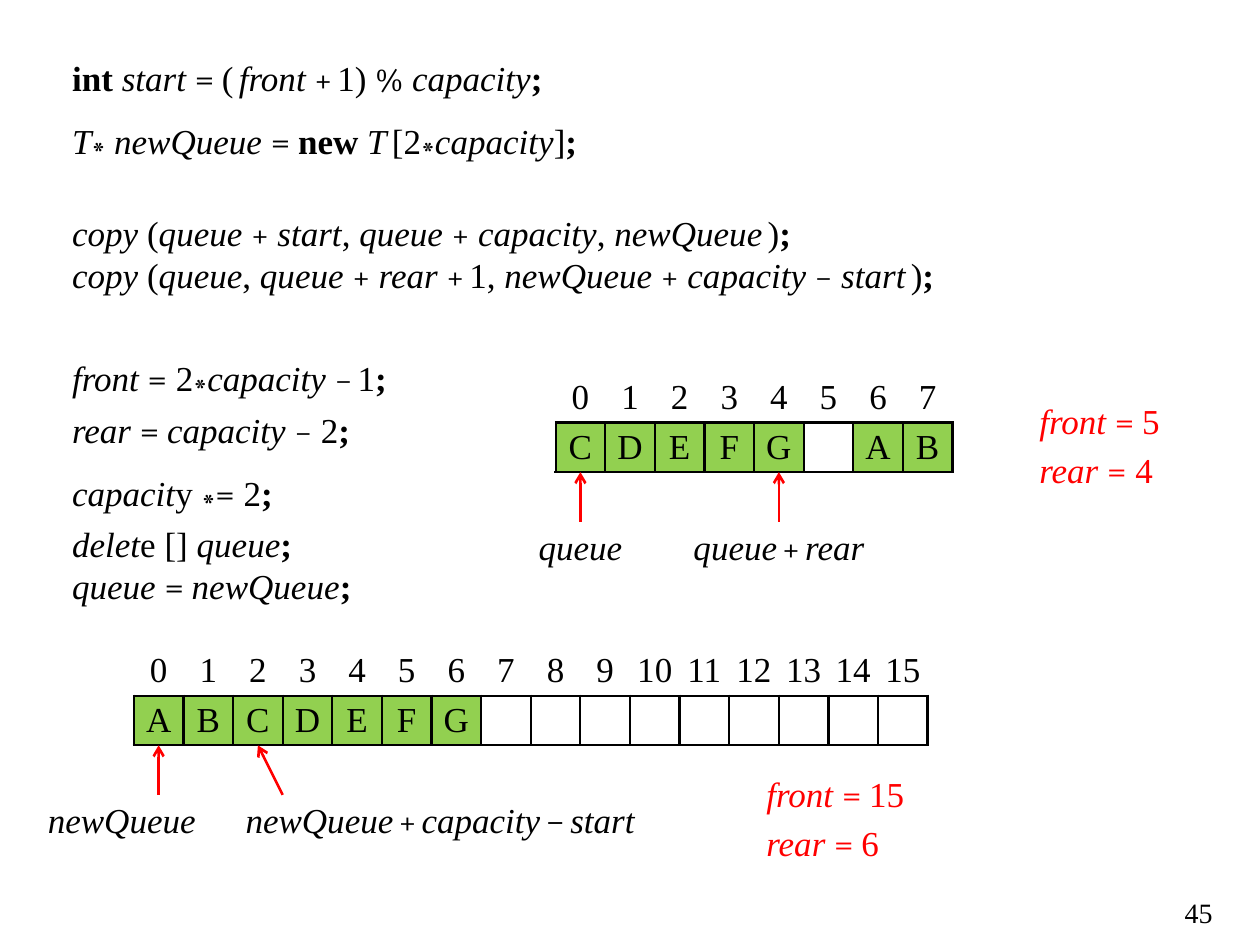
"""Build the slide on doubling the capacity of a circular queue."""
from lxml.etree import SubElement
from pptx import Presentation
from pptx.dml.color import RGBColor
from pptx.enum.shapes import MSO_CONNECTOR
from pptx.enum.text import MSO_ANCHOR, PP_ALIGN
from pptx.oxml.ns import qn
from pptx.util import Pt

COLORS = {"text": "000000", "state": "FF0000", "filled": "92D050", "free": "FFFFFF"}
CELL = 28.35
SERIF, MATH = "Times New Roman", "Cambria"
STYLES = {
    "n": (SERIF, 20), "i": (SERIF, 20), "b": (SERIF, 20),
    "m": (MATH, 20), "p": (MATH, 18), "s": (MATH, 32),
}


def add_runs(paragraph, markup, color="text"):
    """Add |-separated runs, each led by a style code; a capital code widens spacing."""
    for part in markup.split("|"):
        code, text = part[0], part[1:]
        style = code.lower()
        run = paragraph.add_run()
        run.text = text
        run.font.name, size = STYLES[style]
        run.font.size = Pt(size)
        run.font.bold = style == "b"
        run.font.italic = style == "i"
        run.font.color.rgb = RGBColor.from_string(COLORS[color])
        if code.isupper():
            run.font._element.set("spc", "300")
        if style == "s":
            run.font._element.set("baseline", "-18000")


def add_label(left, top, width, height, lines, align, anchor, inset=7.2, color="text"):
    """Add a text box with one paragraph per line of markup."""
    box = slide.shapes.add_textbox(Pt(left), Pt(top), Pt(width), Pt(height))
    frame = box.text_frame
    frame.word_wrap = True
    frame.vertical_anchor = anchor
    frame.margin_left = frame.margin_right = Pt(inset)
    for number, line in enumerate(lines):
        paragraph = frame.paragraphs[0] if number == 0 else frame.add_paragraph()
        paragraph.alignment = align
        paragraph.space_before = Pt(4 if number else 0)
        add_runs(paragraph, line, color)
    return box


prs = Presentation()
prs.slide_width, prs.slide_height = Pt(720), Pt(540)
slide = prs.slides.add_slide(prs.slide_layouts[1])
title = slide.shapes.title
title._element.getparent().remove(title._element)

code_lines = [
    (0, "bint |istart |m= |N(|ifront |P+|n1) |p%|n |icapacity|b;"),
    (0, "iT|s*|n |inewQueue |m= |bnew |IT|n[2|s*|icapacity|n]|b;"),
    (23, "icopy|n (|iqueue |p+|n |istart|n, |iqueue |p+|n |icapacity|n, |inewQueu|Ie|n)|b;"),
    (0, "icopy|n (|iqueue|n, |iqueue |p+|n |irear |P+|n1, |inewQueue |p+|n |icapacity "
        "|p−|n |istar|It|n)|b;"),
    (23, "ifront |m=|n 2|s*|icapacity |P−|n1|b;"),
    (0, "irear |m= |icapacity |p−|n 2|b;"),
    (0, "icapacit|ny |s*|m=|n 2|b;"),
    (0, "idelet|ne [] |iqueue|b;"),
    (0, "iqueue |m= |inewQueue|b;"),
]
code = slide.placeholders[1]
code.left, code.top, code.width, code.height = Pt(34), Pt(28.8), Pt(524), Pt(283.5)
for number, (gap, line) in enumerate(code_lines):
    frame = code.text_frame
    paragraph = frame.paragraphs[0] if number == 0 else frame.add_paragraph()
    paragraph_format = paragraph._p.get_or_add_pPr()
    paragraph_format.set("marL", "0")
    paragraph_format.set("indent", "0")
    SubElement(paragraph_format, qn("a:buNone"))
    paragraph.space_before = Pt(gap)
    add_runs(paragraph, line)

queues = [
    {
        "left": 317.5, "top": 213.1, "items": "CDEFG AB",
        "arrows": [(0.5, 0.5), (4.5, 4.5)],
        "labels": [(-0.5, 2, "iqueue", PP_ALIGN.CENTER, 3),
                   (2.5, 4, "iqueu|Ie|P+|irear", PP_ALIGN.CENTER, 3)],
        "state": (9.5, 0.5, ["ifront |m= |n5", "irear |m=|n 4"]),
    },
    {
        "left": 76.5, "top": 369.2, "items": "ABCDEFG".ljust(16),
        "arrows": [(0.5, 0.5), (3, 2.5)],
        "labels": [(-2, 3.5, "inewQueue", PP_ALIGN.RIGHT, 7.2),
                   (2, 9, "inewQueu|Ie|P+|icapacit|Iy|M−|istart", PP_ALIGN.LEFT, 7.2)],
        "state": (12.5, 2.5, ["ifront |m= |n15", "irear |m= |n6"]),
    },
]
for queue in queues:
    left, top, items = queue["left"], queue["top"], queue["items"]
    table = slide.shapes.add_table(
        2, len(items), Pt(left), Pt(top), Pt(CELL * len(items)), Pt(CELL * 2)).table
    table.first_row = table.horz_banding = False
    for row in table.rows:
        row.height = Pt(CELL)
    for index, item in enumerate(items):
        table.columns[index].width = Pt(CELL)
        for row, value in enumerate((str(index), item.strip())):
            cell = table.cell(row, index)
            cell.margin_left = cell.margin_right = cell.margin_top = cell.margin_bottom = 0
            cell.vertical_anchor = MSO_ANCHOR.MIDDLE
            paragraph = cell.text_frame.paragraphs[0]
            paragraph.alignment = PP_ALIGN.CENTER
            paragraph.font.size = Pt(20)
            if value:
                add_runs(paragraph, "n" + value)
            for side in ("lnL", "lnR", "lnT", "lnB") if row else ("lnB",):
                border = SubElement(cell._tc.get_or_add_tcPr(), qn("a:" + side), w="19050")
                paint = SubElement(border, qn("a:solidFill"))
                SubElement(paint, qn("a:srgbClr"), val=COLORS["text"])
            if row:
                cell.fill.solid()
                cell.fill.fore_color.rgb = RGBColor.from_string(
                    COLORS["filled" if value else "free"])
            else:
                cell.fill.background()

    for start, end in queue["arrows"]:
        arrow = slide.shapes.add_connector(
            MSO_CONNECTOR.STRAIGHT, Pt(left + start * CELL), Pt(top + 3 * CELL),
            Pt(left + end * CELL), Pt(top + 2 * CELL))
        arrow.line.color.rgb = RGBColor.from_string(COLORS["state"])
        arrow.line.width = Pt(1.5)
        SubElement(arrow.line._get_or_add_ln(), qn("a:tailEnd"), type="arrow")
        SubElement(arrow._element.spPr, qn("a:effectLst"))

    for offset, width, label, align, inset in queue["labels"]:
        add_label(left + offset * CELL, top + 3 * CELL, width * CELL, CELL,
                  [label], align, MSO_ANCHOR.MIDDLE, inset)

    across, down, state = queue["state"]
    add_label(left + across * CELL, top + down * CELL, 3.5 * CELL, 2 * CELL,
              state, PP_ALIGN.LEFT, MSO_ANCHOR.BOTTOM, color="state")

page_number = add_label(666, 508.3, 34, 23, ["n45"], PP_ALIGN.RIGHT, MSO_ANCHOR.TOP)
page_number.text_frame.paragraphs[0].runs[0].font.size = Pt(16)

prs.save("out.pptx")
